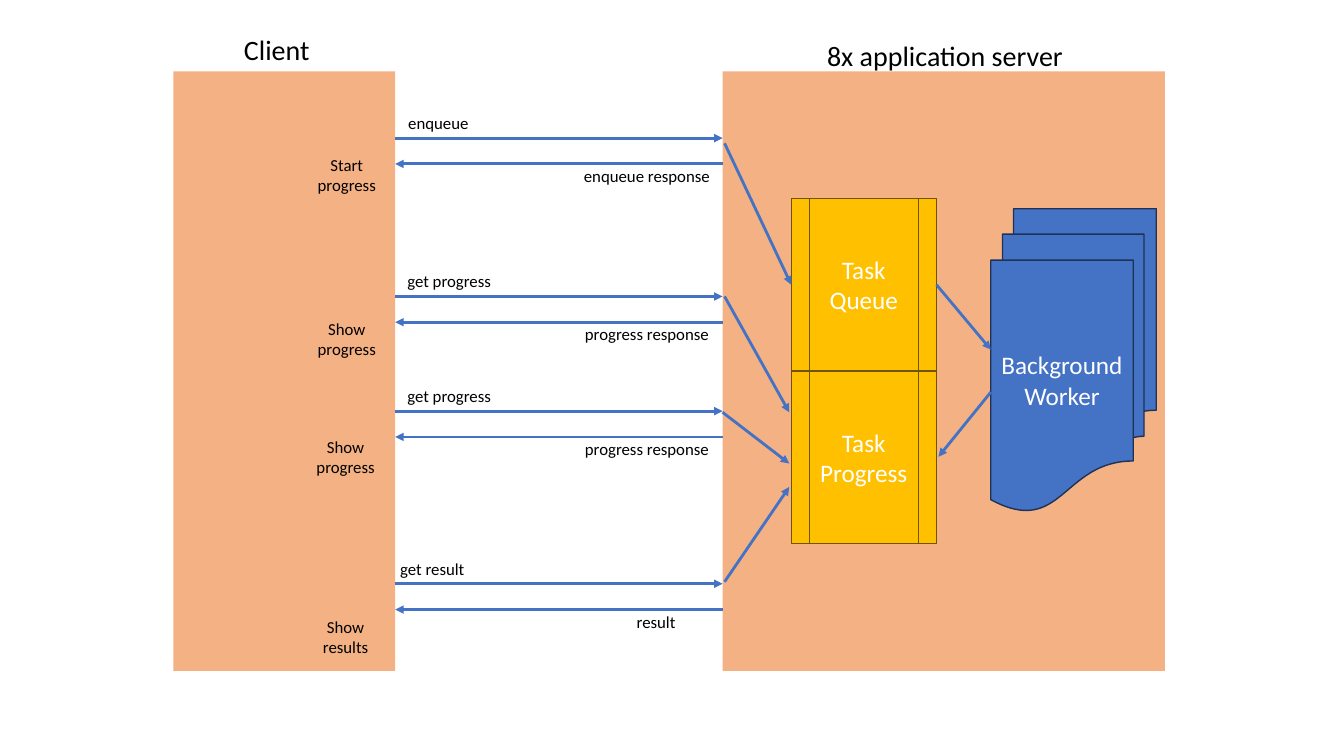
from dataclasses import dataclass

from lxml import etree
from pptx import Presentation
from pptx.dml.color import RGBColor
from pptx.enum.shapes import MSO_CONNECTOR, MSO_SHAPE
from pptx.enum.text import MSO_ANCHOR, MSO_AUTO_SIZE, PP_ALIGN
from pptx.oxml.ns import qn
from pptx.util import Cm, Pt

RECTANGLE = MSO_SHAPE.RECTANGLE
PROCESS = MSO_SHAPE.FLOWCHART_PREDEFINED_PROCESS
MULTIDOCUMENT = MSO_SHAPE.FLOWCHART_MULTIDOCUMENT
STRAIGHT = MSO_CONNECTOR.STRAIGHT
MIDDLE, TOP = MSO_ANCHOR.MIDDLE, MSO_ANCHOR.TOP
CENTER = PP_ALIGN.CENTER
FIT_TEXT = MSO_AUTO_SIZE.SHAPE_TO_FIT_TEXT
LEFT_SIDE, RIGHT_SIDE = 1, 3


@dataclass(frozen=True)
class Theme:
    font: str = "Calibri"
    heading: int = 20
    body: int = 18
    label: int = 12
    ink: str = "000000"
    light: str = "FFFFFF"
    panel: str = "F4B183"
    store: str = "FFC000"
    store_edge: str = "705400"
    accent: str = "4472C4"
    accent_edge: str = "1E3256"


theme = Theme()
presentation = Presentation()
presentation.slide_width = Cm(33.87)
presentation.slide_height = Cm(19.05)
slide = presentation.slides.add_slide(presentation.slide_layouts[6])


def add_text(text, left, top, width, height, size=theme.label, color=theme.ink,
             preset=None, fill=None, edge=None):
    box = [Cm(value) for value in (left, top, width, height)]
    if preset is None:
        shape = slide.shapes.add_textbox(*box)
        shape.text_frame.auto_size = FIT_TEXT
    else:
        shape = slide.shapes.add_shape(preset, *box)
        shape.shadow.inherit = False
        shape.fill.solid()
        shape.fill.fore_color.rgb = RGBColor.from_string(fill)
        if edge:
            shape.line.color.rgb = RGBColor.from_string(edge)
            shape.line.width = Pt(1)
        else:
            shape.line.fill.background()
    frame = shape.text_frame
    frame.word_wrap = True
    frame.vertical_anchor = MIDDLE if preset else TOP
    frame.text = text
    for paragraph in frame.paragraphs:
        paragraph.alignment = CENTER
        paragraph.font.name = theme.font
        paragraph.font.size = Pt(size)
        paragraph.font.color.rgb = RGBColor.from_string(color)
    return shape


def add_arrow(start_x, start_y, end_x, end_y):
    connector = slide.shapes.add_connector(
        STRAIGHT, Cm(start_x), Cm(start_y), Cm(end_x), Cm(end_y))
    connector.line.color.rgb = RGBColor.from_string(theme.accent)
    connector.line.width = Pt(2)
    etree.SubElement(connector.line._get_or_add_ln(), qn("a:tailEnd"), type="triangle")
    etree.SubElement(connector._element.spPr, qn("a:effectLst"))
    return connector


client_left, client_right, server_left = 4.37, 9.96, 18.21
panel_top, panel_height = 1.8, 15.11
for left, width in ((server_left, 11.15), (client_left, client_right - client_left)):
    add_text("", left, panel_top, width, panel_height, preset=RECTANGLE, fill=theme.panel)

add_text("Client", client_left, 0.69, 5.21, 1.11, size=theme.heading)
add_text("8x application server", 20.27, 0.84, 7.09, 1.11, size=theme.heading)

label_height, response_gap = 0.76, 0.65
exchanges = [
    (3.48, "enqueue", client_right, 2.18, "enqueue response", 3.81),
    (7.47, "get progress", client_right, 2.72, "progress response", 3.81),
    (10.36, "get progress", client_right, 2.72, "progress response", 3.81),
    (14.71, "get result", 8.76, 4.27, "result", 4.27),
]
for y, request, request_left, request_width, response, response_width in exchanges:
    response_y = y + response_gap
    add_text(request, request_left, y - label_height, request_width, label_height)
    add_arrow(client_right, y, server_left, y)
    add_arrow(server_left, response_y, client_right, response_y)
    add_text(response, 14.4, response_y - 0.08, response_width, label_height)

client_steps = [
    ("Start\nprogress", 7.65, 3.78),
    ("Show\nprogress", 7.65, 7.9),
    ("Show\nprogress", 7.62, 10.87),
    ("Show\nresults", 7.62, 15.42),
]
for text, left, top in client_steps:
    add_text(text, left, top, 2.18, 1.27)

store_left, store_top, store_width, store_height = 19.94, 5, 3.66, 4.35
queue, progress = [
    add_text(text, store_left, store_top + row * store_height, store_width, store_height,
             size=theme.body, color=theme.light, preset=PROCESS,
             fill=theme.store, edge=theme.store_edge)
    for row, text in enumerate(("Task\nQueue", "Task\nProgress"))
]
worker_left = 24.97
add_text("Background\nWorker", worker_left, 5.26, 4.17, 7.62, size=theme.body,
         color=theme.light, preset=MULTIDOCUMENT, fill=theme.accent, edge=theme.accent_edge)

queue_middle = store_top + store_height / 2
enqueue_arrow = add_arrow(18.26, 3.61, store_left, queue_middle)
enqueue_arrow.end_connect(queue, LEFT_SIDE)
work_arrow = add_arrow(store_left + store_width, queue_middle, worker_left, 8.81)
work_arrow.begin_connect(queue, RIGHT_SIDE)

for start_x, start_y, end_x, end_y in (
    (18.26, 7.47, 19.89, 10.39),
    (server_left, 10.39, 19.89, 11.68),
    (18.26, 14.66, 19.89, 12.27),
    (worker_left, 9.88, 23.65, 11.51),
):
    add_arrow(start_x, start_y, end_x, end_y)

presentation.save("out.pptx")
